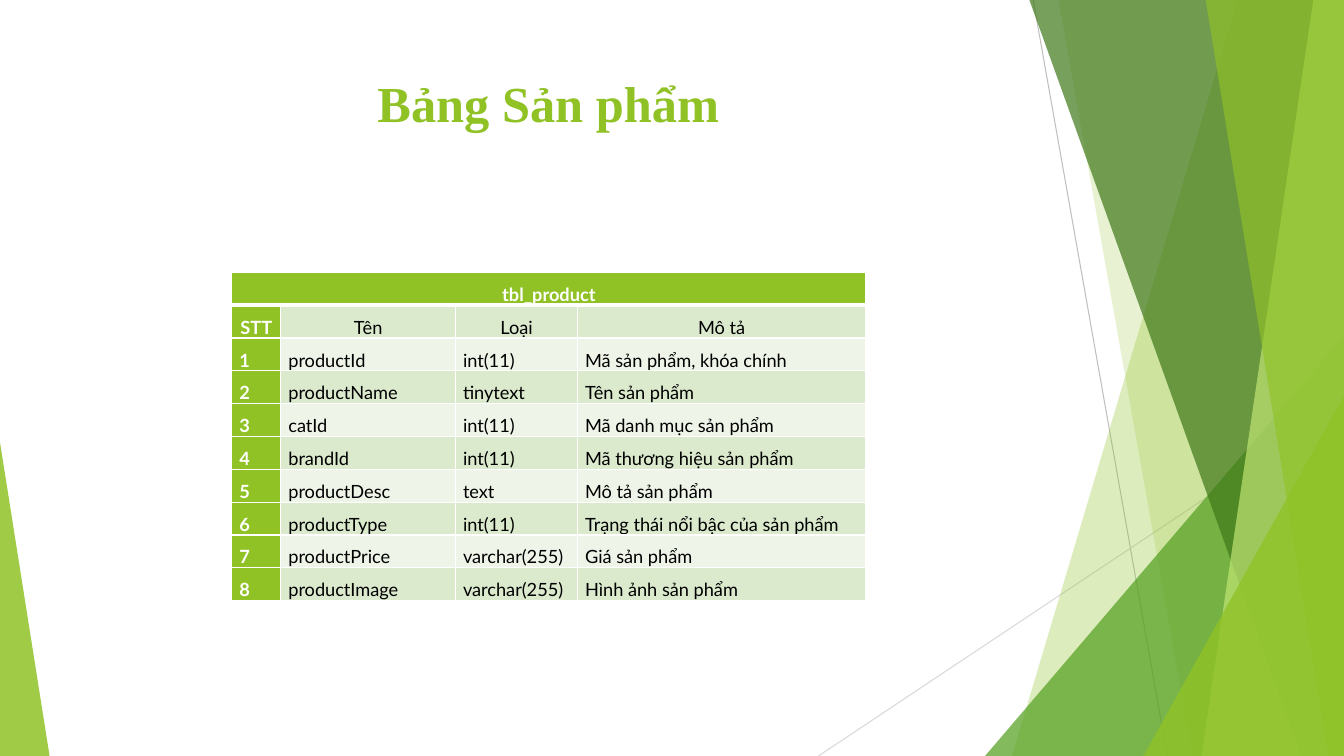
from lxml.etree import SubElement
from pptx import Presentation
from pptx.dml.color import RGBColor
from pptx.enum.shapes import MSO_CONNECTOR, MSO_SHAPE
from pptx.enum.text import MSO_ANCHOR, PP_ALIGN as Align
from pptx.oxml import parse_xml
from pptx.oxml.ns import nsdecls, qn
from pptx.util import Pt

COLORS = {
    "lime": "90C226", "green": "54A021", "forest": "3F7819", "pale": "C0E474",
    "band": "DBE9CD", "light": "EEF4E8", "white": "FFFFFF", "black": "000000",
    "line": "BFBFBF", "faint_line": "D9D9D9",
}
WIDTH, HEIGHT = 960, 540
BLEED = -0.6

RAYS = [("line", 738, 0, 833.8, HEIGHT), ("faint_line", WIDTH, 290, 584.6, HEIGHT)]
BACK_SHARDS = [("lime", 30, 884.2, 722.9), ("lime", 20, 756, 851.8)]
FRONT_SHARDS = [("forest", 70, 735.1, 929.5), ("pale", 70, 938.2, 858.2),
                ("lime", 65, 861.1, 949)]

TABLE_NAME = "tbl_product"
HEADINGS = ["STT", "Tên", "Loại", "Mô tả"]
FIELDS = [
    ("productId", "int(11)", "Mã sản phẩm, khóa chính"),
    ("productName", "tinytext", "Tên sản phẩm"),
    ("catId", "int(11)", "Mã danh mục sản phẩm"),
    ("brandId", "int(11)", "Mã thương hiệu sản phẩm"),
    ("productDesc", "text", "Mô tả sản phẩm"),
    ("productType", "int(11)", "Trạng thái nổi bậc của sản phẩm"),
    ("productPrice", "varchar(255)", "Giá sản phẩm"),
    ("productImage", "varchar(255)", "Hình ảnh sản phẩm"),
]
COLUMN_WIDTHS = [35, 124.8, 87.2, 205.9]
ROW_HEIGHT = 20.9


def rgb(color):
    """Return the named colour."""
    return RGBColor.from_string(COLORS[color])


def write(frame, text, *, size, font, color, bold=False, align=Align.LEFT, spacing=1.0):
    """Put one formatted paragraph in a text frame."""
    frame.word_wrap = True
    paragraph = frame.paragraphs[0]
    paragraph.alignment = align
    paragraph.line_spacing = spacing
    run = paragraph.add_run()
    run.text = text
    run.font.size = Pt(size)
    run.font.name = font
    run.font.bold = bold
    run.font.color.rgb = rgb(color)


def paint(shape, color, opacity):
    """Give a shape a see-through fill with no line or shadow."""
    shape.shadow.inherit = False
    shape.fill.solid()
    shape.fill.fore_color.rgb = rgb(color)
    shape.line.fill.background()
    tint = shape.fill._xPr.find(qn("a:solidFill"))[0]
    SubElement(tint, qn("a:alpha")).set("val", str(opacity * 1000))


def add_ray(slide, color, x1, y1, x2, y2):
    """Draw a thin decorative line."""
    ray = slide.shapes.add_connector(MSO_CONNECTOR.STRAIGHT, Pt(x1), Pt(y1), Pt(x2), Pt(y2))
    ray.line.color.rgb = rgb(color)
    ray.line.width = Pt(0.75)
    SubElement(ray._element.spPr, qn("a:effectLst"))


def add_shard(slide, color, opacity, top_x, bottom_x):
    """Draw a full-height shard that reaches the right edge."""
    outline = slide.shapes.build_freeform(Pt(top_x), Pt(BLEED))
    corners = [(WIDTH, BLEED), (WIDTH, HEIGHT), (bottom_x, HEIGHT)]
    outline.add_line_segments([(Pt(x), Pt(y)) for x, y in corners], close=True)
    paint(outline.convert_to_shape(), color, opacity)


def add_corner(slide, color, opacity, left, top, width, apex):
    """Draw a right triangle standing on the bottom edge."""
    corner = slide.shapes.add_shape(MSO_SHAPE.ISOSCELES_TRIANGLE, Pt(left), Pt(top),
                                    Pt(width), Pt(HEIGHT - top))
    corner.adjustments[0] = apex
    paint(corner, color, opacity)


def add_title(slide, text):
    """Add the slide title."""
    title = slide.shapes.add_textbox(Pt(53.3), Pt(48), Pt(676.8), Pt(104))
    write(title.text_frame, text, size=36, font="Times New Roman", color="lime",
          bold=True, align=Align.CENTER)


def set_borders(cell, **widths):
    """Give a cell white borders; widths are keyed by L, R, T and B."""
    properties = cell._tc.get_or_add_tcPr()
    for position, side in enumerate("LRTB"):
        properties.insert(position, parse_xml(
            f'<a:ln{side} {nsdecls("a")} w="{Pt(widths.get(side, 1))}"><a:solidFill>'
            f'<a:srgbClr val="{COLORS["white"]}"/></a:solidFill></a:ln{side}>'))


def fill_cell(cell, text, *, fill, strong, align, **borders):
    """Format one table cell and write its text."""
    cell.margin_left = cell.margin_right = Pt(5.4)
    cell.margin_top = cell.margin_bottom = Pt(0)
    cell.vertical_anchor = MSO_ANCHOR.MIDDLE
    cell.fill.solid()
    cell.fill.fore_color.rgb = rgb(fill)
    set_borders(cell, **borders)
    if text:
        write(cell.text_frame, text, size=13, font="Lato", bold=strong, align=align,
              color="white" if strong else "black", spacing=1.5)


def add_field_table(slide):
    """Add the table that describes the product fields."""
    numbered = [(str(number), *field) for number, field in enumerate(FIELDS, 1)]
    rows = [[TABLE_NAME, "", "", ""], HEADINGS, *numbered]
    table = slide.shapes.add_table(len(rows), len(HEADINGS), Pt(165.6), Pt(194.6),
                                   Pt(sum(COLUMN_WIDTHS)), Pt(ROW_HEIGHT * len(rows))).table
    for column, width in zip(table.columns, COLUMN_WIDTHS):
        column.width = Pt(width)
    for r, texts in enumerate(rows):
        table.rows[r].height = Pt(ROW_HEIGHT)
        borders = {0: {"B": 3}, 1: {"T": 3}}.get(r, {})
        for c, text in enumerate(texts):
            strong = r == 0 or c == 0
            band = "band" if r % 2 else "light"
            fill_cell(table.cell(r, c), text, fill="lime" if strong else band, strong=strong,
                      align=Align.CENTER if r < 2 else Align.JUSTIFY, **borders)
    table.cell(0, 0).merge(table.cell(0, len(HEADINGS) - 1))


def main():
    """Build and save the slide."""
    deck = Presentation()
    deck.slide_width, deck.slide_height = Pt(WIDTH), Pt(HEIGHT)
    slide = deck.slides.add_slide(deck.slide_layouts[6])
    for ray in RAYS:
        add_ray(slide, *ray)
    for shard in BACK_SHARDS:
        add_shard(slide, *shard)
    add_corner(slide, "green", 72, 703.6, 240, WIDTH - 703.6, 1)
    for shard in FRONT_SHARDS:
        add_shard(slide, *shard)
    add_corner(slide, "lime", 80, 816.7, 283, WIDTH - 816.7, 1)
    add_corner(slide, "lime", 85, 0, 316, 35.4, 0)
    add_title(slide, "Bảng Sản phẩm")
    add_field_table(slide)
    deck.save("out.pptx")


if __name__ == "__main__":
    main()
